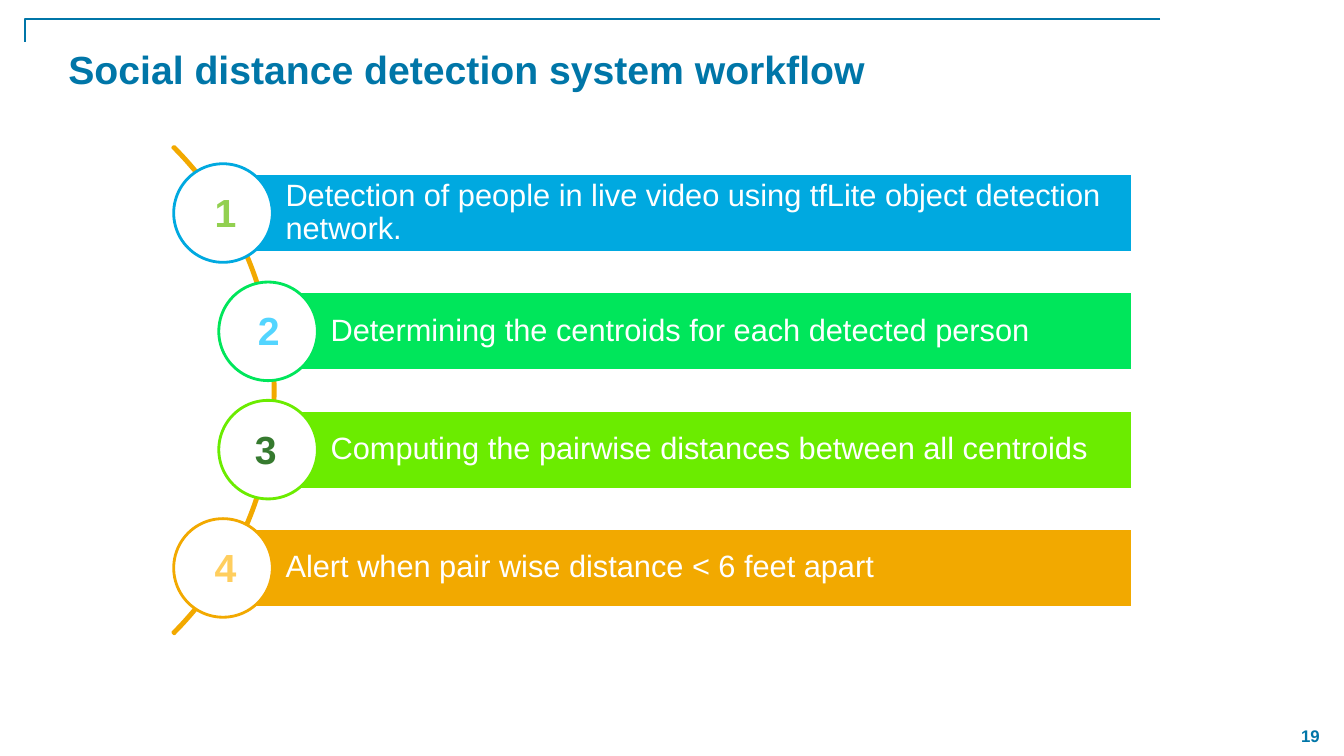
from dataclasses import dataclass

from lxml import etree
from pptx import Presentation
from pptx.dml.color import RGBColor
from pptx.enum.shapes import MSO_CONNECTOR, MSO_SHAPE
from pptx.enum.text import MSO_ANCHOR, PP_ALIGN
from pptx.oxml.ns import qn
from pptx.shapes.autoshape import Shape
from pptx.slide import Slide
from pptx.util import Pt

ELBOW = MSO_CONNECTOR.ELBOW
RECTANGLE, OVAL, ARC = MSO_SHAPE.RECTANGLE, MSO_SHAPE.OVAL, MSO_SHAPE.BLOCK_ARC
TOP, MIDDLE = MSO_ANCHOR.TOP, MSO_ANCHOR.MIDDLE
LEFT, CENTER = PP_ALIGN.LEFT, PP_ALIGN.CENTER


@dataclass(frozen=True)
class Theme:
    font: str = "Arial"
    heading: str = "0076A8"
    white: str = "FFFFFF"
    arc: str = "F2A900"
    heading_size: float = 28
    step_size: float = 22
    page_number_size: float = 12
    outline: float = 2


@dataclass(frozen=True)
class Step:
    text: str
    color: str
    number_color: str
    bar_left: float
    number_left: float


@dataclass(frozen=True)
class Frame:
    left: float
    top: float
    width: float
    height: float


THEME = Theme()
STEPS = [
    Step("Detection of people in live video using tfLite object detection network.",
         "00A9E0", "92D050", 159.3, 146.2),
    Step("Determining the centroids for each detected person",
         "00E65B", "53D5FF", 191.5, 177.1),
    Step("Computing the pairwise distances between all centroids",
         "6BEC00", "367A2F", 191.5, 175),
    Step("Alert when pair wise distance < 6 feet apart",
         "F2A900", "FFCE5E", 159.3, 146.2),
]
FIRST_CENTER, STEP_PITCH = 152.2, 84.5
BAR_RIGHT, BAR_HEIGHT = 808.6, 56.3
CIRCLE_SIZE = 70.4
NUMBER_WIDTH, NUMBER_HEIGHT, NUMBER_RISE = 48, 41.2, 21.2


def write(box: Shape, text: str, size: float, color: str, bold: bool = True,
          align: PP_ALIGN = LEFT, anchor: MSO_ANCHOR = TOP) -> None:
    frame = box.text_frame
    frame.text = text
    frame.word_wrap = True
    frame.vertical_anchor = anchor
    para = frame.paragraphs[0]
    para.alignment = align
    font = para.runs[0].font
    font.name, font.size, font.bold = THEME.font, Pt(size), bold
    font.color.rgb = RGBColor.from_string(color)


def add_text(page: Slide, place: Frame, text: str, size: float, color: str,
             align: PP_ALIGN = LEFT, anchor: MSO_ANCHOR = TOP) -> None:
    box = page.shapes.add_textbox(Pt(place.left), Pt(place.top),
                                  Pt(place.width), Pt(place.height))
    write(box, text, size, color, align=align, anchor=anchor)


def add_outlined(page: Slide, kind: MSO_SHAPE, place: Frame, fill: str, line: str) -> Shape:
    shape = page.shapes.add_shape(kind, Pt(place.left), Pt(place.top),
                                  Pt(place.width), Pt(place.height))
    shape.shadow.inherit = False
    shape.fill.solid()
    shape.fill.fore_color.rgb = RGBColor.from_string(fill)
    shape.line.color.rgb = RGBColor.from_string(line)
    shape.line.width = Pt(THEME.outline)
    return shape


def add_corner_rule(page: Slide) -> None:
    """Draw the top rule, which turns down at its left end."""
    rule = page.shapes.add_connector(ELBOW, Pt(828.7), Pt(13.7), Pt(18), Pt(30.2))
    rule.line.color.rgb = RGBColor.from_string(THEME.heading)
    rule.line.width = Pt(1)
    properties = rule.element.spPr
    etree.SubElement(properties, qn("a:effectLst"))
    guides = properties.find(qn("a:prstGeom")).find(qn("a:avLst"))
    etree.SubElement(guides, qn("a:gd"), name="adj1", fmla="val 100000")


def add_arc(page: Slide) -> None:
    """Draw the thin arc, from 315 to 45 degrees, that strings the steps together."""
    arc = add_outlined(page, ARC, Frame(-295.9, 32.4, 492.5, 492.5), THEME.arc, THEME.arc)
    arc.fill.background()
    for index, value in enumerate((189, 27, 0.003)):
        arc.adjustments[index] = value


def add_step(page: Slide, step: Step, center: float) -> None:
    bar_place = Frame(step.bar_left, center - BAR_HEIGHT / 2,
                      BAR_RIGHT - step.bar_left, BAR_HEIGHT)
    bar = add_outlined(page, RECTANGLE, bar_place, step.color, THEME.white)
    write(bar, step.text, THEME.step_size, THEME.white, bold=False, anchor=MIDDLE)
    frame = bar.text_frame
    frame.margin_left = Pt(44.7)
    frame.margin_right = frame.margin_top = frame.margin_bottom = Pt(4.4)
    frame.paragraphs[0].line_spacing = 0.9
    radius = CIRCLE_SIZE / 2
    circle_place = Frame(step.bar_left - radius, center - radius, CIRCLE_SIZE, CIRCLE_SIZE)
    add_outlined(page, OVAL, circle_place, THEME.white, step.color)


def main() -> None:
    deck = Presentation()
    deck.slide_width, deck.slide_height = Pt(960), Pt(540)
    page = deck.slides.add_slide(deck.slide_layouts[6])
    add_text(page, Frame(912, 510.5, 48, 30), "19", THEME.page_number_size,
             THEME.heading, CENTER, MIDDLE)
    add_corner_rule(page)
    add_text(page, Frame(41.8, 28.8, 848, 77.8), "Social distance detection system workflow",
             THEME.heading_size, THEME.heading)
    add_arc(page)
    centers = [FIRST_CENTER + index * STEP_PITCH for index in range(len(STEPS))]
    for step, center in zip(STEPS, centers):
        add_step(page, step, center)
    for number, (step, center) in enumerate(zip(STEPS, centers), start=1):
        place = Frame(step.number_left, center - NUMBER_RISE, NUMBER_WIDTH, NUMBER_HEIGHT)
        add_text(page, place, str(number), THEME.heading_size, step.number_color)
    deck.save("out.pptx")


if __name__ == "__main__":
    main()
